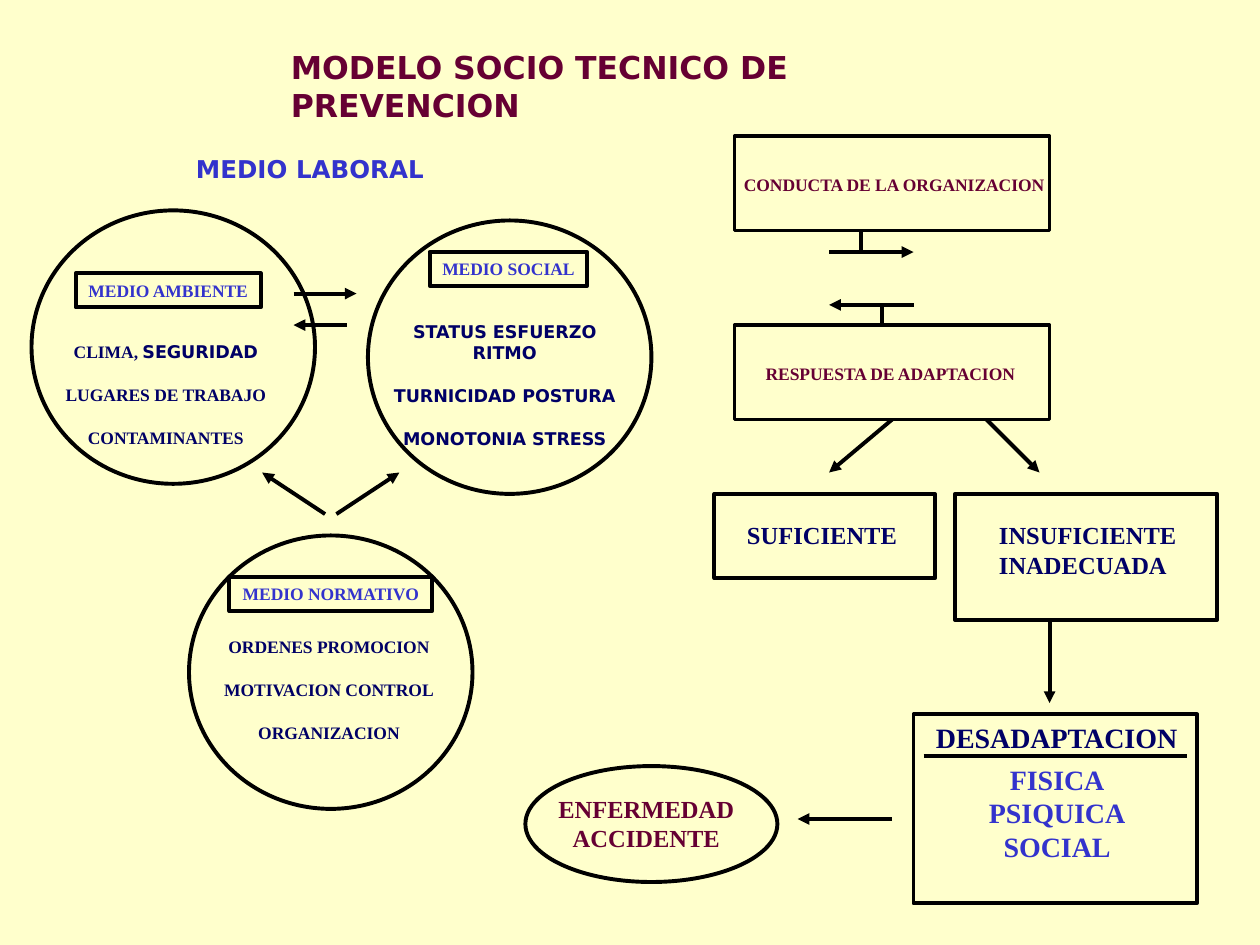
from dataclasses import dataclass

from lxml.etree import SubElement
from pptx import Presentation
from pptx.dml.color import RGBColor
from pptx.enum.shapes import MSO_CONNECTOR, MSO_SHAPE
from pptx.enum.text import MSO_ANCHOR, PP_ALIGN
from pptx.oxml.ns import qn
from pptx.shapes.autoshape import Shape
from pptx.shapes.connector import Connector
from pptx.slide import Slide
from pptx.util import Inches, Pt


@dataclass(frozen=True)
class Theme:
    background: RGBColor = RGBColor(0xFF, 0xFF, 0xCC)
    black: RGBColor = RGBColor(0, 0, 0)
    blue: RGBColor = RGBColor(0x33, 0x33, 0xCC)
    navy: RGBColor = RGBColor(0, 0, 0x66)
    wine: RGBColor = RGBColor(0x66, 0, 0x33)
    serif: str = "Times New Roman"
    sans: str = "DejaVu Sans"
    small: float = 10
    medium: float = 14
    large: float = 16
    title: float = 18
    line: float = 2.25
    list_gap: float = 12.5


THEME = Theme()


@dataclass(frozen=True)
class Area:
    left: float
    top: float
    width: float
    height: float


@dataclass(frozen=True)
class Span:
    text: str
    font: str


@dataclass(frozen=True)
class Caption:
    area: Area
    lines: tuple[str | tuple[Span, ...], ...]
    color: RGBColor
    size: float = THEME.small
    font: str = THEME.serif
    align: PP_ALIGN = PP_ALIGN.CENTER
    gap: float = 0
    framed: bool = False


@dataclass(frozen=True)
class Link:
    start: tuple[float, float]
    end: tuple[float, float]
    arrow: bool = True


CIRCLES = [Area(left, top, 2.25, 2.17) for left, top in ((2.92, 1.75), (1.5, 4.25), (0.25, 1.67))]
ILLNESS = Area(4.17, 6.08, 2, 0.92)
RESPONSE = Area(5.83, 2.58, 2.5, 0.75)
BLOCKS = [
    Area(5.83, 1.08, 2.5, 0.75),
    Area(5.67, 3.92, 1.75, 0.67),
    Area(7.58, 3.92, 2.08, 1),
    Area(7.25, 5.67, 2.25, 1.5),
]

LINKS = [
    Link((2.33, 2.33), (2.83, 2.33)),
    Link((2.75, 2.58), (2.33, 2.58)),
    Link((2.67, 4.08), (3.17, 3.75)),
    Link((2.58, 4.08), (2.08, 3.75)),
    Link((6.58, 2), (7.25, 2)),
    Link((7.25, 2.42), (6.58, 2.42)),
    Link((7.83, 3.33), (8.25, 3.75)),
    Link((8.33, 4.92), (8.33, 5.58)),
    Link((7.08, 6.5), (6.33, 6.5)),
    Link((6.83, 2), (6.83, 1.83), arrow=False),
    Link((7, 2.58), (7, 2.42), arrow=False),
    Link((7.33, 6), (9.42, 6), arrow=False),
]
RESPONSE_LINK = Link((7.08, 3.33), (6.58, 3.75))

CAPTIONS = [
    Caption(Area(0.6, 2.17, 1.47, 0.27), ("MEDIO AMBIENTE",), THEME.blue, framed=True),
    Caption(
        Area(0.42, 2.66, 1.79, 0.94),
        (
            (Span("CLIMA, ", THEME.serif), Span("SEGURIDAD", THEME.sans)),
            "LUGARES DE TRABAJO",
            "CONTAMINANTES",
        ),
        THEME.navy,
        gap=THEME.list_gap,
    ),
    Caption(Area(3.41, 2, 1.25, 0.27), ("MEDIO SOCIAL",), THEME.blue, framed=True),
    Caption(
        Area(3, 2.5, 2.01, 0.94),
        ("STATUS ESFUERZO RITMO", "TURNICIDAD POSTURA", "MONOTONIA STRESS"),
        THEME.navy,
        font=THEME.sans,
        gap=THEME.list_gap,
    ),
    Caption(Area(1.82, 4.58, 1.61, 0.27), ("MEDIO NORMATIVO",), THEME.blue, framed=True),
    Caption(
        Area(1.62, 5, 1.98, 0.94),
        ("ORDENES PROMOCION", "MOTIVACION CONTROL", "ORGANIZACION"),
        THEME.navy,
        gap=THEME.list_gap,
    ),
    Caption(Area(5.79, 1.33, 2.61, 0.27), ("CONDUCTA DE LA ORGANIZACION",), THEME.wine),
    Caption(Area(5.96, 2.83, 2.21, 0.27), ("RESPUESTA DE ADAPTACION",), THEME.wine),
    Caption(Area(5.83, 4.08, 1.39, 0.34), ("SUFICIENTE",), THEME.navy, THEME.medium, align=PP_ALIGN.LEFT),
    Caption(
        Area(7.83, 4.08, 1.61, 0.57), ("INSUFICIENTE", "INADECUADA"), THEME.navy, THEME.medium, align=PP_ALIGN.LEFT
    ),
    Caption(Area(4.33, 6.25, 1.6, 0.57), ("ENFERMEDAD", "ACCIDENTE"), THEME.wine, THEME.medium),
    Caption(Area(7.33, 5.67, 2.13, 0.37), ("DESADAPTACION",), THEME.navy, THEME.large, align=PP_ALIGN.LEFT),
    Caption(Area(7.75, 6, 1.28, 0.9), ("FISICA", "PSIQUICA", "SOCIAL"), THEME.blue, THEME.large),
    Caption(
        Area(2.21, 0.33, 5.4, 0.4),
        ("MODELO SOCIO TECNICO DE PREVENCION",),
        THEME.wine,
        THEME.title,
        THEME.sans,
        PP_ALIGN.LEFT,
    ),
    Caption(Area(1.5, 1.17, 1.92, 0.34), ("MEDIO LABORAL",), THEME.blue, THEME.medium, THEME.sans),
]


def place(area: Area) -> tuple[Inches, ...]:
    return tuple(Inches(value) for value in (area.left, area.top, area.width, area.height))


def draw_outline(page: Slide, kind: MSO_SHAPE, area: Area) -> Shape:
    shape = page.shapes.add_shape(kind, *place(area))
    shape.shadow.inherit = False
    shape.fill.background()
    shape.line.color.rgb = THEME.black
    shape.line.width = Pt(THEME.line)
    return shape


def draw_link(page: Slide, link: Link) -> Connector:
    ends = [Inches(value) for value in (*link.start, *link.end)]
    connector = page.shapes.add_connector(MSO_CONNECTOR.STRAIGHT, *ends)
    connector.line.color.rgb = THEME.black
    connector.line.width = Pt(THEME.line)
    if link.arrow:
        SubElement(connector.line._get_or_add_ln(), qn("a:tailEnd"), type="triangle")
    SubElement(connector._element.spPr, qn("a:effectLst"))
    return connector


def draw_caption(page: Slide, caption: Caption) -> None:
    if caption.framed:
        box = draw_outline(page, MSO_SHAPE.RECTANGLE, caption.area)
    else:
        box = page.shapes.add_textbox(*place(caption.area))
    frame = box.text_frame
    frame.word_wrap = True
    frame.vertical_anchor = MSO_ANCHOR.TOP
    frame.margin_left = Inches(0.1 if caption.align == PP_ALIGN.LEFT else 0.05)
    frame.margin_right = Inches(0.05)
    for index, line in enumerate(caption.lines):
        para = frame.add_paragraph() if index else frame.paragraphs[0]
        para.alignment = caption.align
        if index and caption.gap:
            para.space_before = Pt(caption.gap)
        para.font.size = Pt(caption.size)
        para.font.bold = True
        para.font.color.rgb = caption.color
        if isinstance(line, str):
            para.font.name = caption.font
            para.add_run().text = line
        else:
            for span in line:
                run = para.add_run()
                run.text = span.text
                run.font.name = span.font


def main() -> None:
    deck = Presentation()
    deck.slide_width, deck.slide_height = Inches(10), Inches(7.5)
    page = deck.slides.add_slide(deck.slide_layouts[6])
    page.background.fill.solid()
    page.background.fill.fore_color.rgb = THEME.background
    for area in (*CIRCLES, ILLNESS):
        draw_outline(page, MSO_SHAPE.OVAL, area)
    for area in BLOCKS:
        draw_outline(page, MSO_SHAPE.RECTANGLE, area)
    response = draw_outline(page, MSO_SHAPE.RECTANGLE, RESPONSE)
    draw_link(page, RESPONSE_LINK).begin_connect(response, 2)
    for link in LINKS:
        draw_link(page, link)
    for caption in CAPTIONS:
        draw_caption(page, caption)
    deck.save("out.pptx")


if __name__ == "__main__":
    main()
